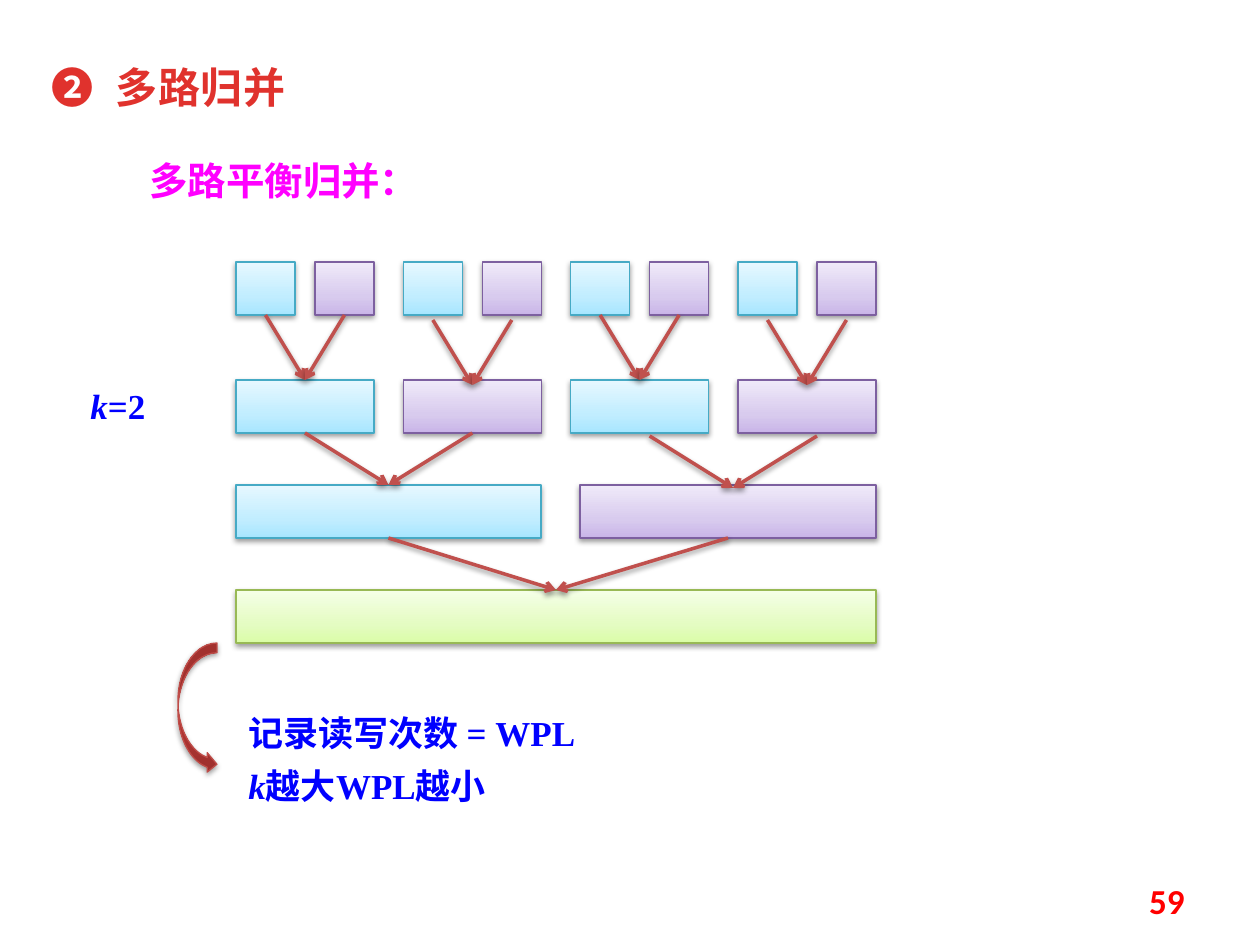
from copy import deepcopy
from dataclasses import dataclass

from lxml.etree import SubElement
from pptx import Presentation
from pptx.dml.color import RGBColor
from pptx.enum.shapes import MSO_CONNECTOR, MSO_SHAPE
from pptx.enum.text import MSO_ANCHOR, MSO_AUTO_SIZE, PP_ALIGN
from pptx.oxml.ns import qn
from pptx.util import Pt

PX = 914400 / 126


@dataclass(frozen=True)
class Theme:
    cjk: str = "Noto Sans CJK SC"
    serif: str = "Times New Roman"
    sans: str = "Calibri"
    title: str = "E0322D"
    subtitle: str = "FF00FF"
    note: str = "0000FF"
    number: str = "FF0000"
    arrow: str = "C0504D"
    title_size: int = 24
    subtitle_size: int = 22
    note_size: int = 20
    leading: int = 30


@dataclass(frozen=True)
class Skin:
    """A gradient from bottom to top, and its outline."""
    stops: tuple
    line: str


T = Theme()
BLUE = Skin(((0, "A7E6FF"), (0.35, "C1EDFF"), (1, "E7F8FF")), "46AAC5")
PURPLE = Skin(((0, "C9B5E8"), (0.35, "D8CBEE"), (1, "F0EAF9")), "7D60A0")
GREEN = Skin(((0, "DAFDA7"), (0.35, "E4FCC2"), (1, "F5FFE7")), "98B955")
RED = Skin(((0, "9C2F2D"), (0.8, "CB3E3A"), (1, "CE3B37")), "BF4C48")

# Each paragraph is a list of (text, italic) runs.
TITLE = [[("❷  多路归并", False)]]
SUBTITLE = [[("多路平衡归并：", False)]]
WAYS = [[("k", True), ("=2", False)]]
NOTES = [[("记录读写次数 = WPL", False)],
         [("k", True), ("越大WPL越小", False)]]
NUMBER = [[("59", False)]]

# Merge tree
LEFT, WIDTH, BOX_H = 236, 640, 53
PAIR_W, LEAF_W = 138, 59
ROW_TOPS = [262, 380, 485, 590]
HALVES = [(236, 305), (580, 296)]
# (row, box): shift of arrow starts in x, of arrow tips in x, of both in y
NUDGES = {(1, 1): (0, 0, 5), (1, 3): (0, 0, 5), (2, 1): (10, 5, 3)}


def px(*values):
    return [round(v * PX) for v in values]


def rgb(value):
    return RGBColor.from_string(value)


def add_shadow(sp, blur=3.1, dist=1.6, alpha=38):
    spPr = sp._element.spPr
    effects = spPr.find(qn("a:effectLst"))
    if effects is None:
        effects = SubElement(spPr, qn("a:effectLst"))
    shadow = SubElement(effects, qn("a:outerShdw"), blurRad=str(Pt(blur)),
                        dist=str(Pt(dist)), dir="5400000", rotWithShape="0")
    color = SubElement(shadow, qn("a:srgbClr"), val="000000")
    SubElement(color, qn("a:alpha"), val=str(alpha * 1000))


def add_block(slide, kind, box, skin):
    """Add a preset shape with a three-stop gradient and a soft shadow."""
    sp = slide.shapes.add_shape(kind, *px(*box))
    sp.fill.gradient()
    sp.fill.gradient_angle = 90
    stops = sp._element.spPr.find(".//" + qn("a:gsLst"))
    stops.append(deepcopy(stops[-1]))
    for stop, (position, color) in zip(sp.fill.gradient_stops, skin.stops):
        stop.position = position
        stop.color.rgb = rgb(color)
    sp.line.color.rgb = rgb(skin.line)
    sp.line.width = Pt(0.75)
    sp.shadow.inherit = False
    add_shadow(sp)


def add_arrow(slide, start, end):
    cx = slide.shapes.add_connector(MSO_CONNECTOR.STRAIGHT, *px(*start, *end))
    cx.line.color.rgb = rgb(T.arrow)
    cx.line.width = Pt(2)
    SubElement(cx.line._get_or_add_ln(), qn("a:tailEnd"), type="arrow")
    add_shadow(cx)


def write(sp, box, paragraphs, font, size, color, bold=True, spacing=0,
          align=PP_ALIGN.LEFT, anchor=MSO_ANCHOR.TOP, leading=T.leading):
    sp.left, sp.top, sp.width, sp.height = px(*box)
    tf = sp.text_frame
    tf.word_wrap = True
    tf.auto_size = MSO_AUTO_SIZE.NONE
    tf.vertical_anchor = anchor
    for i, runs in enumerate(paragraphs):
        p = tf.add_paragraph() if i else tf.paragraphs[0]
        p.alignment = align
        if leading:
            p.line_spacing = Pt(leading)
        p.font.name, p.font.size, p.font.bold = font, Pt(size), bold
        p.font.color.rgb = rgb(color)
        props = p._p.pPr.find(qn("a:defRPr"))
        props.set("spc", str(spacing))
        SubElement(props, qn("a:ea"), typeface=T.cjk)
        for text, italic in runs:
            r = p.add_run()
            r.text = text
            if italic:
                r.font.italic = True


def add_text(slide, box, *args, **kwargs):
    write(slide.shapes.add_textbox(*px(*box)), box, *args, **kwargs)


def tree_rows():
    """Give the (left, width) of every box, row by row."""
    pitch = (WIDTH - PAIR_W) / 3
    pairs = [(LEFT + i * pitch, PAIR_W) for i in range(4)]
    leaves = [(x + shift, LEAF_W) for x, w in pairs for shift in (0, w - LEAF_W)]
    return [leaves, pairs, HALVES, [(LEFT, WIDTH)]]


def draw_tree(slide):
    rows = tree_rows()
    for top, row in zip(ROW_TOPS, rows):
        for i, (x, w) in enumerate(row):
            skin = GREEN if len(row) == 1 else (BLUE, PURPLE)[i % 2]
            add_block(slide, MSO_SHAPE.RECTANGLE, (x, top, w, BOX_H), skin)
    for n, row in enumerate(rows[1:], 1):
        for i, (x, w) in enumerate(row):
            start_dx, end_dx, dy = NUDGES.get((n, i), (0, 0, 0))
            tip = (x + w / 2 + end_dx, ROW_TOPS[n] + dy)
            for child_x, child_w in rows[n - 1][2 * i:2 * i + 2]:
                start = (child_x + child_w / 2 + start_dx,
                         ROW_TOPS[n - 1] + BOX_H + dy)
                add_arrow(slide, start, tip)


def main():
    prs = Presentation()
    prs.slide_width, prs.slide_height = px(1260, 945)
    slide = prs.slides.add_slide(prs.slide_layouts[5])
    write(slide.shapes.title, (39, 53, 335, 63), TITLE, T.cjk, T.title_size,
          T.title, spacing=50)
    add_text(slide, (137, 145, 300, 59), SUBTITLE, T.cjk, T.subtitle_size,
             T.subtitle)
    draw_tree(slide)
    add_text(slide, (78, 368, 98, 66), WAYS, T.serif, T.note_size, T.note)
    add_text(slide, (236, 695, 423, 118), NOTES, T.serif, T.note_size, T.note)
    add_block(slide, MSO_SHAPE.CURVED_RIGHT_ARROW, (178, 643, 39, 131), RED)
    add_text(slide, (903, 876, 294, 50), NUMBER, T.sans, T.note_size, T.number,
             align=PP_ALIGN.RIGHT, anchor=MSO_ANCHOR.MIDDLE, leading=None)
    prs.save("out.pptx")


if __name__ == "__main__":
    main()
